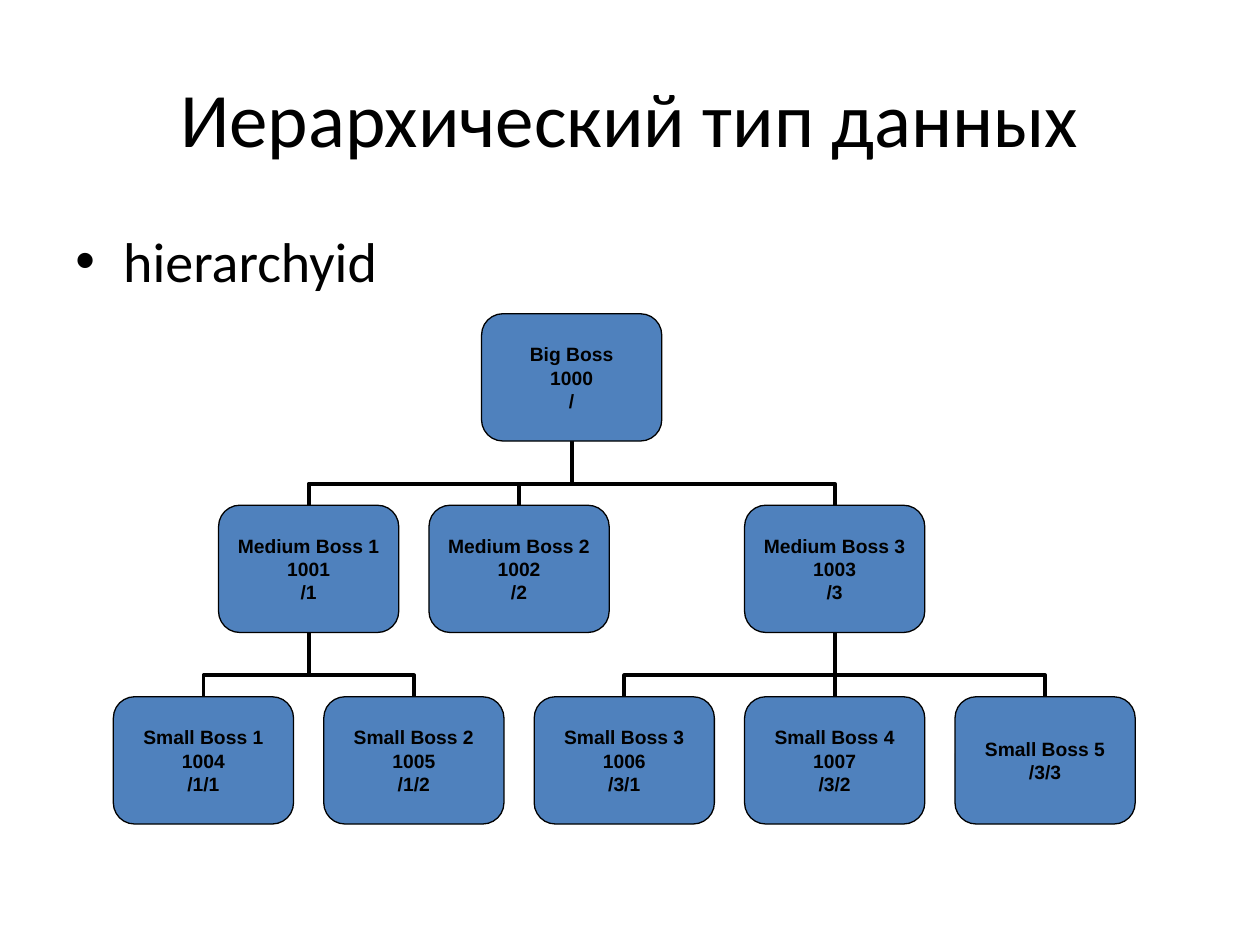
"""Slide with an organisation tree that illustrates the hierarchyid type."""
from dataclasses import dataclass
from lxml.etree import SubElement
from pptx import Presentation
from pptx.dml.color import RGBColor
from pptx.enum.shapes import MSO_CONNECTOR as CONN, MSO_SHAPE as SHAPE
from pptx.enum.text import MSO_ANCHOR as ANCHOR, PP_ALIGN as ALIGN
from pptx.oxml.ns import qn
from pptx.util import Inches, Pt

TITLE = "Иерархический тип данных"
BULLET = "hierarchyid"
NODES = {
    "big": (None, 0, 1.75, ["Big Boss", "1000", "/"]),
    "medium1": ("big", 1, 0.5, ["Medium Boss 1", "1001", "/1"]),
    "medium2": ("big", 1, 1.5, ["Medium Boss 2", "1002", "/2"]),
    "medium3": ("big", 1, 3, ["Medium Boss 3", "1003", "/3"]),
    "small1": ("medium1", 2, 0, ["Small Boss 1", "1004", "/1/1"]),
    "small2": ("medium1", 2, 1, ["Small Boss 2", "1005", "/1/2"]),
    "small3": ("medium3", 2, 2, ["Small Boss 3", "1006", "/3/1"]),
    "small4": ("medium3", 2, 3, ["Small Boss 4", "1007", "/3/2"]),
    "small5": ("medium3", 2, 4, ["Small Boss 5", "/3/3"]),
}


@dataclass(frozen=True)
class Theme:
    ink: RGBColor = RGBColor.from_string("000000")
    box: RGBColor = RGBColor.from_string("4F81BD")
    head_font: str = "Calibri"
    box_font: str = "Arial"
    title: int = 44
    body: int = 32
    label: int = 11
    border: float = 0.75
    link: float = 2.25


T = Theme()
WIDTH, HEIGHT = 10, 7.5
MARGIN = WIDTH * 0.05
BOX_W, BOX_H = 1.43, 1.01
COL, ROW = 1.67, 1.52
LEFT, TOP = 0.9, 2.49
BEND = 0.335


def style(tf, font, size, bold=False, align=ALIGN.CENTER):
    for p in tf.paragraphs:
        p.alignment = align
        for r in p.runs:
            r.font.name, r.font.size, r.font.bold = font, Pt(size), bold
            r.font.color.rgb = T.ink


def add_text(s, text, top, height, size, anchor, align):
    sp = s.shapes.add_textbox(*map(Inches, (MARGIN, top, WIDTH - 2 * MARGIN, height)))
    tf = sp.text_frame
    tf.word_wrap, tf.vertical_anchor, tf.text = True, anchor, text
    style(tf, T.head_font, size, align=align)
    return tf.paragraphs[0]


def add_bullet(p):
    p.space_before = Pt(8)
    pPr = p._p.get_or_add_pPr()
    pPr.set("marL", str(Inches(0.38)))
    pPr.set("indent", str(-Inches(0.38)))
    SubElement(pPr, qn("a:buFont"), typeface="Arial")
    SubElement(pPr, qn("a:buChar"), char="•")


def corner(key):
    _, row, col, _ = NODES[key]
    return LEFT + col * COL, TOP + row * ROW


def add_link(s, child, parent):
    (cx, cy), (px, py) = corner(child), corner(parent)
    mid_x, mid_y = (cx + px + BOX_W) / 2, (cy + py + BOX_H) / 2
    half_w, half_h = abs(cx - px) / 2, (cy - py - BOX_H) / 2
    side = 1 if cx < px else -1
    ends = (mid_x + side * half_h, mid_y + half_w, mid_x - side * half_h, mid_y - half_w)
    ln = s.shapes.add_connector(CONN.ELBOW, *map(Inches, ends))
    ln.line.color.rgb, ln.line.width = T.ink, Pt(T.link)
    spPr = ln._element.spPr
    spPr.find(qn("a:xfrm")).set("rot", str(side * 90 % 360 * 60000))
    guides = spPr.find(qn("a:prstGeom")).find(qn("a:avLst"))
    SubElement(guides, qn("a:gd"), name="adj1", fmla=f"val {round(BEND * 100000)}")
    SubElement(spPr, qn("a:effectLst"))


def add_box(s, key, lines):
    sp = s.shapes.add_shape(SHAPE.ROUNDED_RECTANGLE, *map(Inches, (*corner(key), BOX_W, BOX_H)))
    sp.shadow.inherit = False
    sp.fill.solid()
    sp.fill.fore_color.rgb = T.box
    sp.line.color.rgb, sp.line.width = T.ink, Pt(T.border)
    tf = sp.text_frame
    tf.margin_left = tf.margin_right = tf.margin_top = tf.margin_bottom = 0
    tf.word_wrap, tf.vertical_anchor = False, ANCHOR.MIDDLE
    tf.text = "\n".join(lines)
    style(tf, T.box_font, T.label, bold=True)


def main():
    prs = Presentation()
    prs.slide_width, prs.slide_height = Inches(WIDTH), Inches(HEIGHT)
    s = prs.slides.add_slide(prs.slide_layouts[6])
    add_text(s, TITLE, HEIGHT * 0.04, 1.25, T.title, ANCHOR.MIDDLE, ALIGN.CENTER)
    add_bullet(add_text(s, BULLET, 1.75, 0.74, T.body, ANCHOR.TOP, ALIGN.LEFT))
    for key, (parent, *_) in NODES.items():
        if parent:
            add_link(s, key, parent)
    for key, (*_, lines) in NODES.items():
        add_box(s, key, lines)
    prs.save("out.pptx")


if __name__ == "__main__":
    main()
